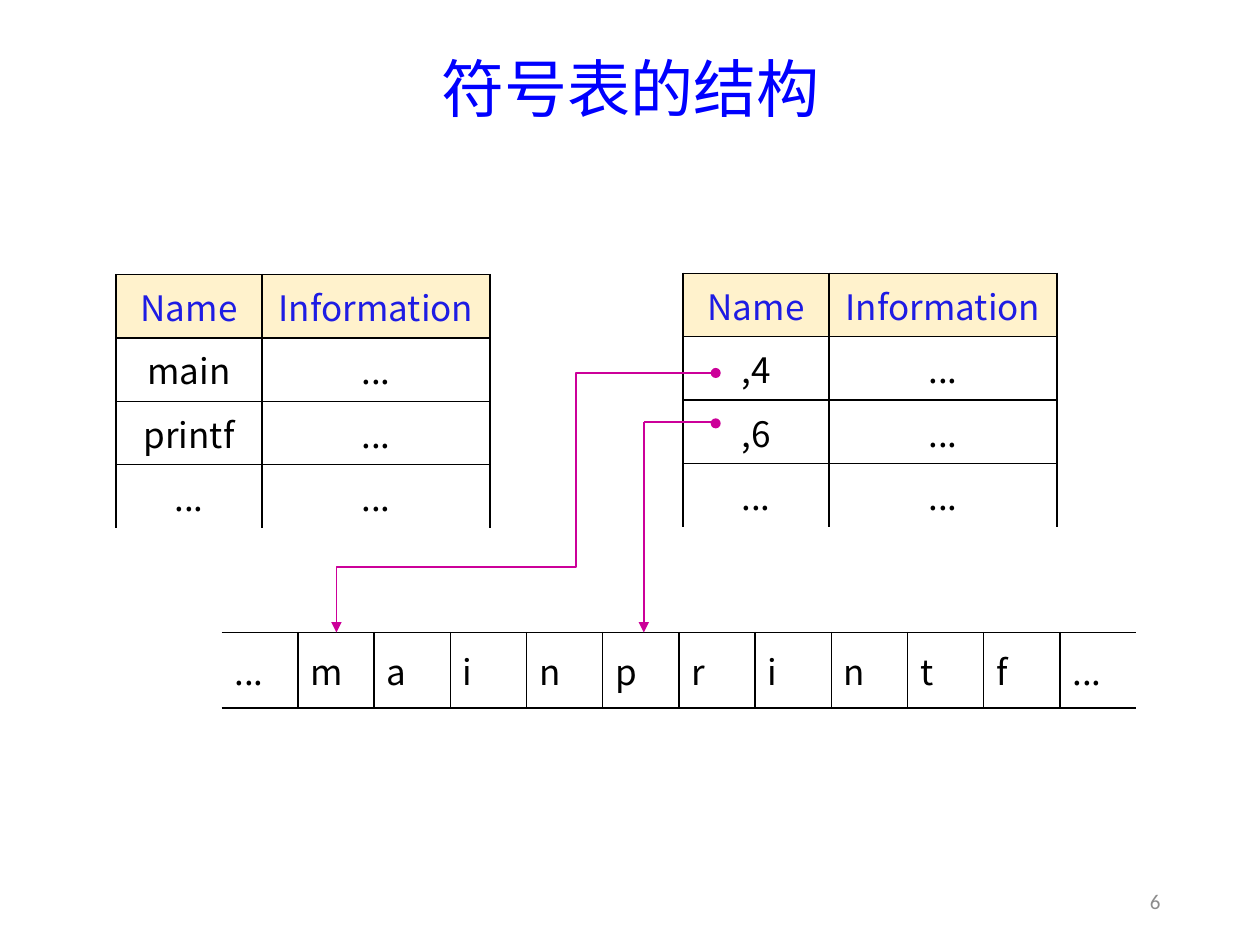
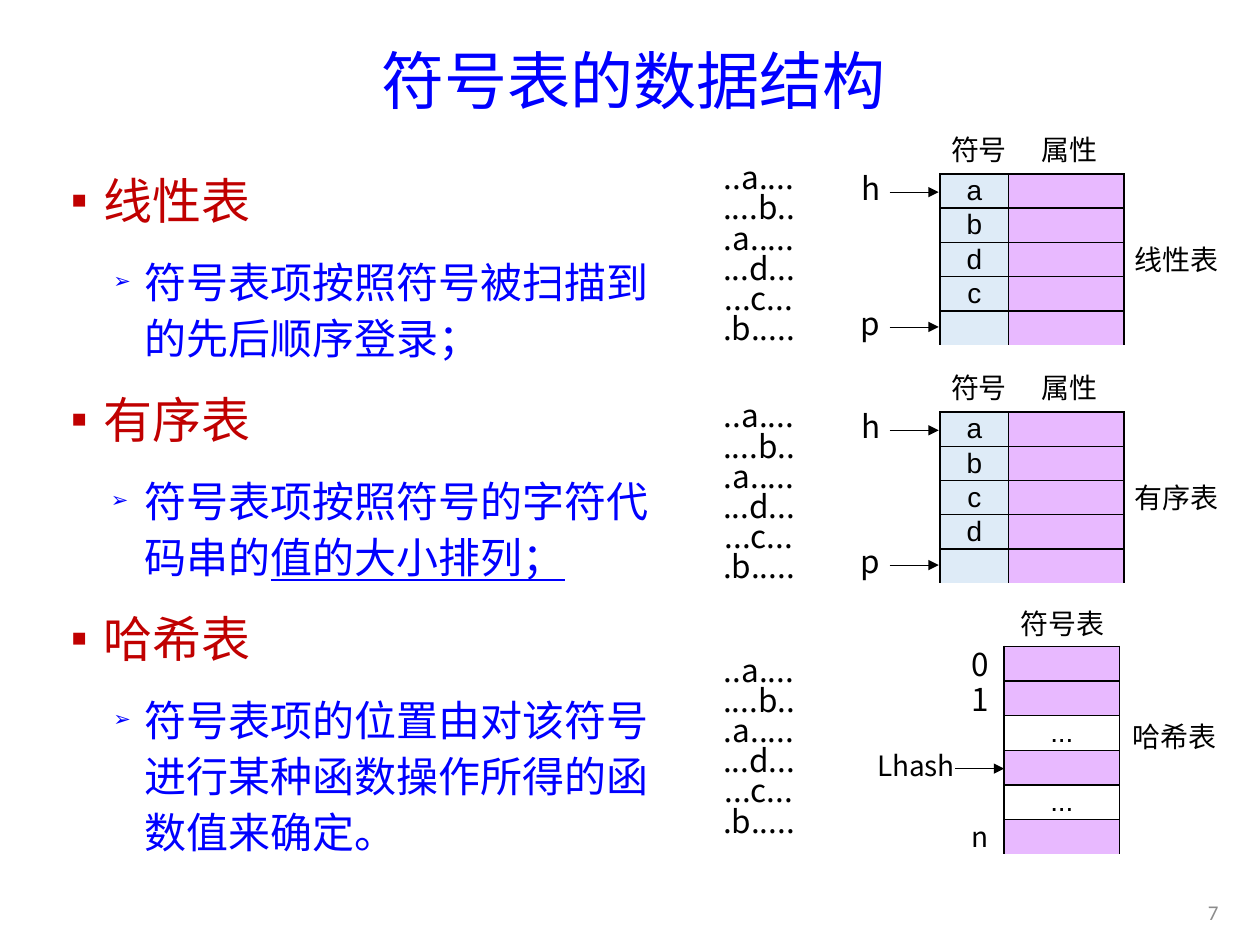
"""Build two slides on the structure of symbol tables."""
from dataclasses import dataclass
from typing import NamedTuple

from lxml.etree import SubElement
from pptx import Presentation
from pptx.dml.color import RGBColor
from pptx.enum.shapes import MSO_CONNECTOR, MSO_SHAPE
from pptx.enum.text import MSO_ANCHOR, MSO_AUTO_SIZE, PP_ALIGN
from pptx.oxml.ns import qn
from pptx.util import Emu, Inches, Pt

COLORS = {
    "title": "0000FF", "head": "C00000", "page": "8C8C8C", "ink": "000000",
    "label": "1E1CE3", "cream": "FFF2CC", "link": "CC0099",
    "key": "DEEBF7", "value": "E8B9FF",
}
CJK, TITLE, LATIN, PAGE = "Noto Sans CJK SC", "Noto Sans CJK JP", "Arial", "Calibri"
WIDTH, HEIGHT = Inches(10), Inches(7.5)
GRID = WIDTH // 100
SOURCE = ["..a....", "....b..", ".a.....", "...d...", "...c...", ".b....."]


class Box(NamedTuple):
    """Place and size in grid cells."""
    x: float
    y: float
    w: float
    h: float


@dataclass
class Style:
    """Look of a paragraph."""
    size: float
    color: str = "ink"
    font: str = CJK
    align: PP_ALIGN = PP_ALIGN.CENTER
    line: float | Pt | None = None


@dataclass
class Cell:
    """Text, look and open sides of a table cell."""
    text: str
    style: Style
    fill: str | None = None
    open: str = ""


@dataclass
class Topic:
    """Heading, detail and underlined ending of a list topic."""
    head: str
    text: str
    under: str = ""


LABEL = Style(16)
MARK = Style(18, line=Pt(17.2))
WORD = Style(20)
CODE = Style(16, font=LATIN)
TOPICS = [
    Topic("线性表", "符号表项按照符号被扫描到的先后顺序登录；"),
    Topic("有序表", "符号表项按照符号的字符代码串的", "值的大小排列；"),
    Topic("哈希表", "符号表项的位置由对该符号进行某种函数操作所得的函数值来确定。"),
]


def cells(count: float) -> Emu:
    """Turn grid cells into a length."""
    return Emu(round(count * GRID))


def area(box: Box) -> list[Emu]:
    """Turn a box into lengths."""
    return [cells(side) for side in box]


def tint(name: str) -> RGBColor:
    """Look up a colour."""
    return RGBColor.from_string(COLORS[name])


def format_par(par, style: Style) -> None:
    """Apply a style to a paragraph."""
    par.alignment = style.align
    if style.line:
        par.line_spacing = style.line
    font = par.font
    font.size, font.name = Pt(style.size), style.font
    font.color.rgb = tint(style.color)
    SubElement(par._p.pPr.find(qn("a:defRPr")), qn("a:ea"), typeface=style.font)


def add_text(slide, box: Box, lines: list[str], style: Style) -> None:
    """Add a centred text box without insets."""
    frame = slide.shapes.add_textbox(*area(box)).text_frame
    frame.word_wrap = True
    frame.vertical_anchor = MSO_ANCHOR.MIDDLE
    frame.margin_left = frame.margin_right = 0
    frame.margin_top = frame.margin_bottom = 0
    frame.text = "\n".join(lines)
    for par in frame.paragraphs:
        format_par(par, style)


def place(shape, box: Box) -> None:
    """Move a placeholder and keep its text size."""
    shape.left, shape.top, shape.width, shape.height = area(box)
    shape.text_frame.word_wrap = True
    shape.text_frame.auto_size = MSO_AUTO_SIZE.NONE


def start(deck, layout: int, title: str, box: Box, page: str, spot: Box):
    """Add a slide with its title and page number."""
    slide = deck.slides.add_slide(deck.slide_layouts[layout])
    shape = slide.shapes.title
    place(shape, box)
    shape.text_frame.vertical_anchor = MSO_ANCHOR.MIDDLE
    shape.text_frame.text = title
    format_par(shape.text_frame.paragraphs[0], Style(36, "title", TITLE, line=0.9))
    add_text(slide, spot, [page], Style(12, "page", PAGE, PP_ALIGN.RIGHT))
    return slide


def set_line(line, color: str, width: float, arrow: bool) -> None:
    """Set the look of a line."""
    line.color.rgb, line.width = tint(color), Pt(width)
    if arrow:
        SubElement(line._get_or_add_ln(), qn("a:tailEnd"), type="triangle")


def add_line(slide, x: float, y: float, to_x: float, to_y: float,
             color: str = "ink", width: float = 0.5, arrow: bool = True) -> None:
    """Add a straight line."""
    link = slide.shapes.add_connector(
        MSO_CONNECTOR.STRAIGHT, cells(x), cells(y), cells(to_x), cells(to_y))
    set_line(link.line, color, width, arrow)
    SubElement(link._element.spPr, qn("a:effectLst"))


def add_edges(cell, sides: str) -> None:
    """Draw the borders of a cell, bar its open sides."""
    props = cell._tc.get_or_add_tcPr()
    for side in "LRTB":
        edge = SubElement(props, qn(f"a:ln{side}"), w=str(Pt(1)))
        if side in sides:
            SubElement(edge, qn("a:noFill"))
        else:
            fill = SubElement(edge, qn("a:solidFill"))
            SubElement(fill, qn("a:srgbClr"), val=COLORS["ink"])


def add_table(slide, box: Box, widths: list[float], rows: list[list[Cell]],
              pad: float = 0) -> None:
    """Add a table with equal rows."""
    table = slide.shapes.add_table(len(rows), len(widths), *area(box)).table
    table.first_row = table.horz_banding = False
    for col, width in zip(table.columns, widths):
        col.width = cells(width)
    for r, row in enumerate(rows):
        for c, item in enumerate(row):
            cell = table.cell(r, c)
            cell.vertical_anchor = MSO_ANCHOR.MIDDLE
            cell.margin_top = cell.margin_bottom = cells(pad)
            add_edges(cell, item.open)
            if item.fill:
                cell.fill.solid()
                cell.fill.fore_color.rgb = tint(item.fill)
            else:
                cell.fill.background()
            par = cell.text_frame.paragraphs[0]
            if item.text:
                par.text = item.text
                format_par(par, item.style)
            else:
                par._p.get_or_add_endParaRPr().set("sz", "1200")


def name_table(slide, x: float, y: float, names: list[str]) -> None:
    """Add a table of names and information."""
    head = Style(20, "label")
    rows = [[Cell(text, head, "cream") for text in ("Name", "Information")]]
    for name in [*names, "..."]:
        side = "B" if name == "..." else ""
        rows.append([Cell(text, WORD, open=side) for text in (name, "...")])
    add_table(slide, Box(x, y, 29.7, 20.1), [11.6, 18.1], rows, 0.5)


def add_links(slide) -> None:
    """Link both table names to the characters below."""
    add_line(slide, 51.1, 33.5, 56.6, 33.5, "link", 1, False)
    add_line(slide, 51.1, 33.5, 51.1, 50.2, "link", 1)
    for y in (33.2, 29.2):
        dot = slide.shapes.add_shape(MSO_SHAPE.OVAL, *area(Box(56.4, y, 0.8, 0.8)))
        dot.shadow.inherit = False
        dot.fill.solid()
        dot.fill.fore_color.rgb = tint("link")
        dot.line.fill.background()
    points = [(56.8, 29.6), (45.7, 29.6), (45.7, 45), (26.7, 45), (26.7, 50.2)]
    first, *rest = [(cells(x), cells(y)) for x, y in points]
    draft = slide.shapes.build_freeform(*first)
    draft.add_line_segments(rest, close=False)
    elbow = draft.convert_to_shape()
    elbow.shadow.inherit = False
    elbow.fill.background()
    set_line(elbow.line, "link", 1, True)


def name_slide(deck) -> None:
    """Build the slide on table structure."""
    slide = start(deck, 5, "符号表的结构", Box(6.9, 3, 86.2, 8.6),
                  "6", Box(70.6, 69.5, 21.5, 4))
    name_table(slide, 9.2, 21.8, ["main", "printf"])
    name_table(slide, 54.2, 21.7, [",4", ",6"])
    chars = ["...", *"mainprintf", "..."]
    sides = ["L", *[""] * 10, "R"]
    left = Style(20, align=PP_ALIGN.LEFT)
    row = [Cell(char, left, open=side) for char, side in zip(chars, sides)]
    add_table(slide, Box(17.6, 50.2, 72.6, 6), [6.05] * 12, [row], 0.5)
    add_links(slide)


def add_item(par, text: str, style: Style, sign: str, left: float, hang: float) -> None:
    """Fill one bulleted paragraph."""
    par.space_after = Pt(6)
    props = par._p.get_or_add_pPr()
    props.set("marL", str(cells(left)))
    props.set("indent", str(-cells(hang)))
    SubElement(props, qn("a:buSzPct"), val="50000")
    SubElement(props, qn("a:buFont"), typeface=LATIN)
    SubElement(props, qn("a:buChar"), char=sign)
    par.add_run().text = text
    format_par(par, style)


def add_list(slide) -> None:
    """Fill the body with the topics."""
    body = slide.placeholders[1]
    place(body, Box(4.7, 12.6, 50.2, 54.7))
    frame = body.text_frame
    head = Style(28, "head", align=PP_ALIGN.LEFT, line=Pt(37))
    text = Style(24, "title", align=PP_ALIGN.LEFT, line=Pt(32))
    for n, topic in enumerate(TOPICS):
        par = frame.add_paragraph() if n else frame.paragraphs[0]
        par.space_before = Pt(6 if n else 0)
        add_item(par, topic.head, head, "■", 2.5, 2.5)
        par = frame.add_paragraph()
        par.level, par.space_before = 1, Pt(6)
        add_item(par, topic.text, text, "➢", 5.8, 2.7 if topic.under else 2.5)
        if topic.under:
            run = par.add_run()
            run.text, run.font.underline = topic.under, True


def key_table(slide, top: float, keys: str, name: str) -> None:
    """Draw a table of symbols with its two pointers."""
    for x, text in ((74, "符号"), (81.2, "属性")):
        add_text(slide, Box(x, top, 7.4, 3.3), [text], LABEL)
    rows = [[Cell(key, CODE, "key", side), Cell("", CODE, "value", side)]
            for key, side in zip([*keys, ""], [*[""] * 4, "B"])]
    add_table(slide, Box(74.6, top + 3.6, 14.6, 13.6), [5.45, 9.15], rows)
    add_text(slide, Box(89.4, top + 8.7, 8, 3.3), [name], LABEL)
    for mark, down in (("h", 3.3), ("p", 14)):
        add_text(slide, Box(66.9, top + down, 4.4, 3.4), [mark], MARK)
        add_line(slide, 70.6, top + down + 1.75, 74.5, top + down + 1.75)


def hash_table(slide) -> None:
    """Draw the hash table with its marks."""
    rows = [[Cell(text, CODE, None if text else "value")]
            for text in ("", "", "...", "", "...")]
    rows.append([Cell("", CODE, "value", "B")])
    add_table(slide, Box(79.7, 51.3, 9.1, 16.5), [9.15], rows)
    for y, text in ((51.3, "0"), (54.1, "1")):
        add_text(slide, Box(75.6, y, 4.4, 3.4), [text], MARK)
    for x, y, text in ((73.8, 64.7, "n"), (68.7, 59.1, "Lhash"),
                       (89.2, 56.8, "哈希表"), (80.3, 47.8, "符号表")):
        add_text(slide, Box(x, y, 8, 3.3), [text], LABEL)
    add_line(slide, 75.8, 61, 79.7, 61)


def type_slide(deck) -> None:
    """Build the slide on table types."""
    slide = start(deck, 1, "符号表的数据结构", Box(7.2, 2.9, 86.2, 7.6),
                  "7", Box(93, 70.4, 3.7, 4))
    add_list(slide)
    key_table(slide, 10.2, "abdc", "线性表")
    key_table(slide, 29.1, "abcd", "有序表")
    hash_table(slide)
    for y in (12.7, 31.6, 51.8):
        add_text(slide, Box(54.6, y, 11.3, 15.3), SOURCE, MARK)


def main() -> None:
    """Build and save the deck."""
    deck = Presentation()
    deck.slide_width, deck.slide_height = WIDTH, HEIGHT
    name_slide(deck)
    type_slide(deck)
    deck.save("out.pptx")


if __name__ == "__main__":
    main()
